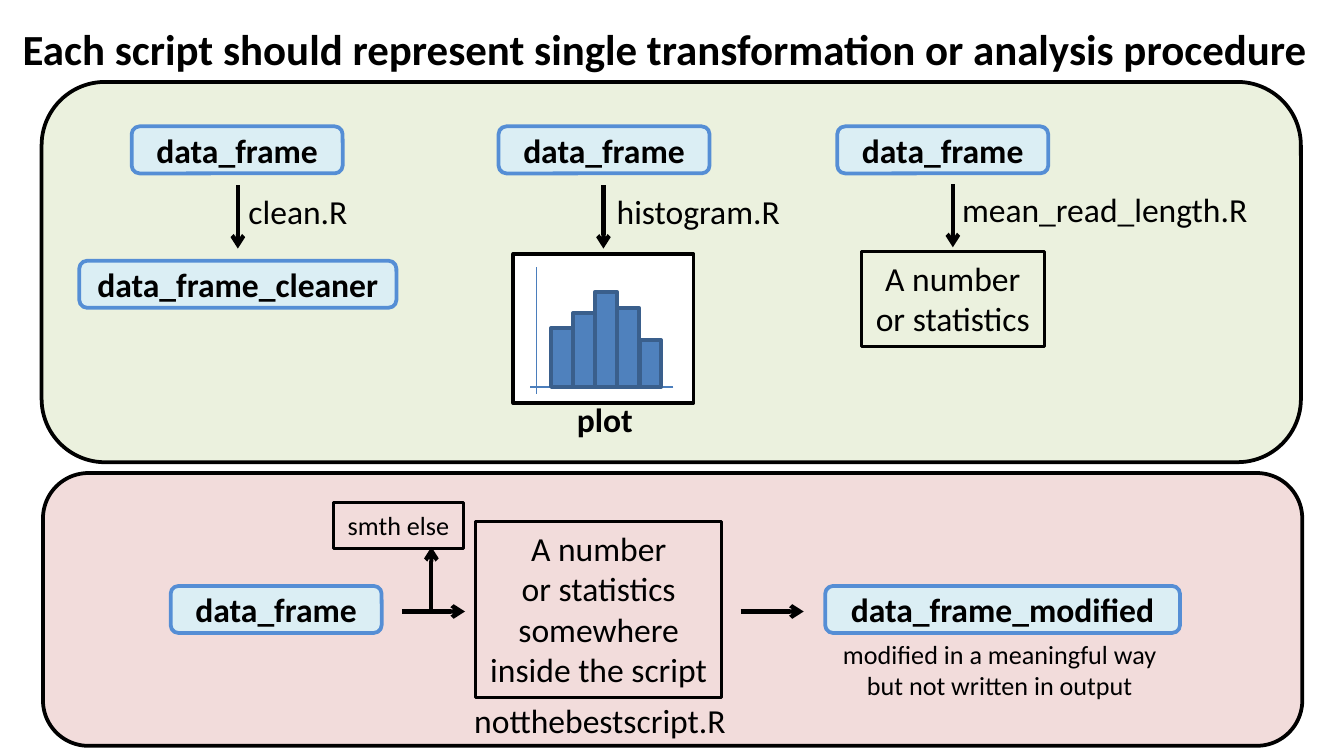
from pptx import Presentation
from pptx.dml.color import RGBColor
from pptx.enum.shapes import MSO_CONNECTOR, MSO_SHAPE as SHAPE
from pptx.enum.text import MSO_ANCHOR as ANCHOR, PP_ALIGN as ALIGN
from pptx.oxml.ns import qn
from pptx.util import Inches, Pt
from lxml import etree

rgb = RGBColor.from_string

# 16:9 slide
prs = Presentation()
prs.slide_width, prs.slide_height = Inches(10), Inches(10 * 9 / 16)
s = prs.slides.add_slide(prs.slide_layouts[6])


def add_box(x, y, w, h, text="", kind=SHAPE.RECTANGLE, fill=None, line=None,
            width=2, size=18, bold=False, align=ALIGN.CENTER):
    """Add a shape, or a plain text box when it has neither fill nor line."""
    pos = [Inches(v) for v in (x, y, w, h)]
    if fill or line:
        sp = s.shapes.add_shape(kind, *pos)
        sp.shadow.inherit = False
    else:
        sp = s.shapes.add_textbox(*pos)
    if fill:
        sp.fill.solid()
        sp.fill.fore_color.rgb = rgb(fill)
    else:
        sp.fill.background()
    if line:
        sp.line.color.rgb = rgb(line)
        sp.line.width = Pt(width)
    if text:
        tf = sp.text_frame
        tf.text = text
        tf.word_wrap = align == ALIGN.LEFT
        tf.vertical_anchor = ANCHOR.MIDDLE if fill else ANCHOR.TOP
        for p in tf.paragraphs:
            p.alignment = align
            for r in p.runs:
                r.font.name = "Calibri"
                r.font.size = Pt(size)
                r.font.bold = bold
                r.font.color.rgb = rgb("000000")


def add_line(x1, y1, x2, y2, color="000000", width=2.25, arrow=True):
    """Add a straight line, with an arrowhead at its end if wanted."""
    c = s.shapes.add_connector(MSO_CONNECTOR.STRAIGHT,
                               *[Inches(v) for v in (x1, y1, x2, y2)])
    c.line.color.rgb = rgb(color)
    c.line.width = Pt(width)
    if arrow:
        ln = c._element.spPr.find(qn("a:ln"))
        etree.SubElement(ln, qn("a:tailEnd"), type="arrow")
    etree.SubElement(c._element.spPr, qn("a:effectLst"))


# Title and the two panels: good practice above, bad practice below
add_box(0.07, 0.12, 9.86, 0.49,
        "Each script should represent single transformation or analysis procedure",
        size=23, bold=True, align=ALIGN.LEFT)
for x, y, h, fill in [(0.31, 0.61, 2.83, "EBF1DE"), (0.32, 3.52, 2.03, "F2DCDB")]:
    add_box(x, y, 9.37, h, kind=SHAPE.ROUNDED_RECTANGLE, fill=fill, line="000000")

# Data frames
for x, y, w, name in [
    (0.98, 0.94, 1.57, "data_frame"),
    (3.71, 0.94, 1.57, "data_frame"),
    (6.23, 0.94, 1.57, "data_frame"),
    (0.59, 1.94, 2.36, "data_frame_cleaner"),
    (1.27, 4.36, 1.57, "data_frame"),
    (6.14, 4.36, 2.64, "data_frame_modified"),
]:
    add_box(x, y, w, 0.35, name, kind=SHAPE.ROUNDED_RECTANGLE,
            fill="DBEEF4", line="558ED5", bold=True)

# Script names
for x, y, w, name in [
    (1.75, 1.37, 1.18, "clean.R"),
    (4.49, 1.37, 2, "histogram.R"),
    (7.06, 1.36, 2.43, "mean_read_length.R"),
    (3.43, 5.16, 2.59, "notthebestscript.R"),
]:
    add_box(x, y, w, 0.4, name, align=ALIGN.LEFT)

# Histogram: frame, axes, bars standing on the baseline, caption
base = 2.88
add_box(3.82, 1.89, 1.34, 1.11, fill="FFFFFF", line="000000")
add_line(3.99, 2.93, 3.99, 1.99, "4B7EBC", 0.75, arrow=False)
add_line(5.01, base, 3.94, base, "4B7EBC", 0.75, arrow=False)
for i, h in enumerate([0.44, 0.55, 0.71, 0.59, 0.35]):
    add_box(4.1 + i * 0.66 / 4, base - h, 0.16, h, fill="4F81BD", line="3A5F8C")
add_box(4.19, 2.92, 0.62, 0.4, "plot", bold=True)

# Outlined results
for x, y, w, h, size, text in [
    (6.41, 1.87, 1.36, 0.71, 18, "A number\nor statistics"),
    (3.54, 3.88, 1.83, 1.31, 18,
     "A number\nor statistics\nsomewhere\ninside the script"),
    (2.48, 3.74, 0.97, 0.34, 14, "smth else"),
]:
    add_box(x, y, w, h, text, line="000000", width=1.5, size=size)

# Note under the modified data frame
add_box(6.16, 4.7, 2.56, 0.57,
        "modified in a meaningful way\nbut not written in output", size=14)

# Arrows, all of one length: down, right and up
length = 0.47
for x, y, dx, dy in [
    (1.77, 1.38, 0, 1),
    (4.49, 1.38, 0, 1),
    (7.09, 1.37, 0, 1),
    (2.99, 4.55, 1, 0),
    (5.51, 4.55, 1, 0),
    (3.21, 4.54, 0, -1),
]:
    add_line(x, y, x + dx * length, y + dy * length)

prs.save("out.pptx")
